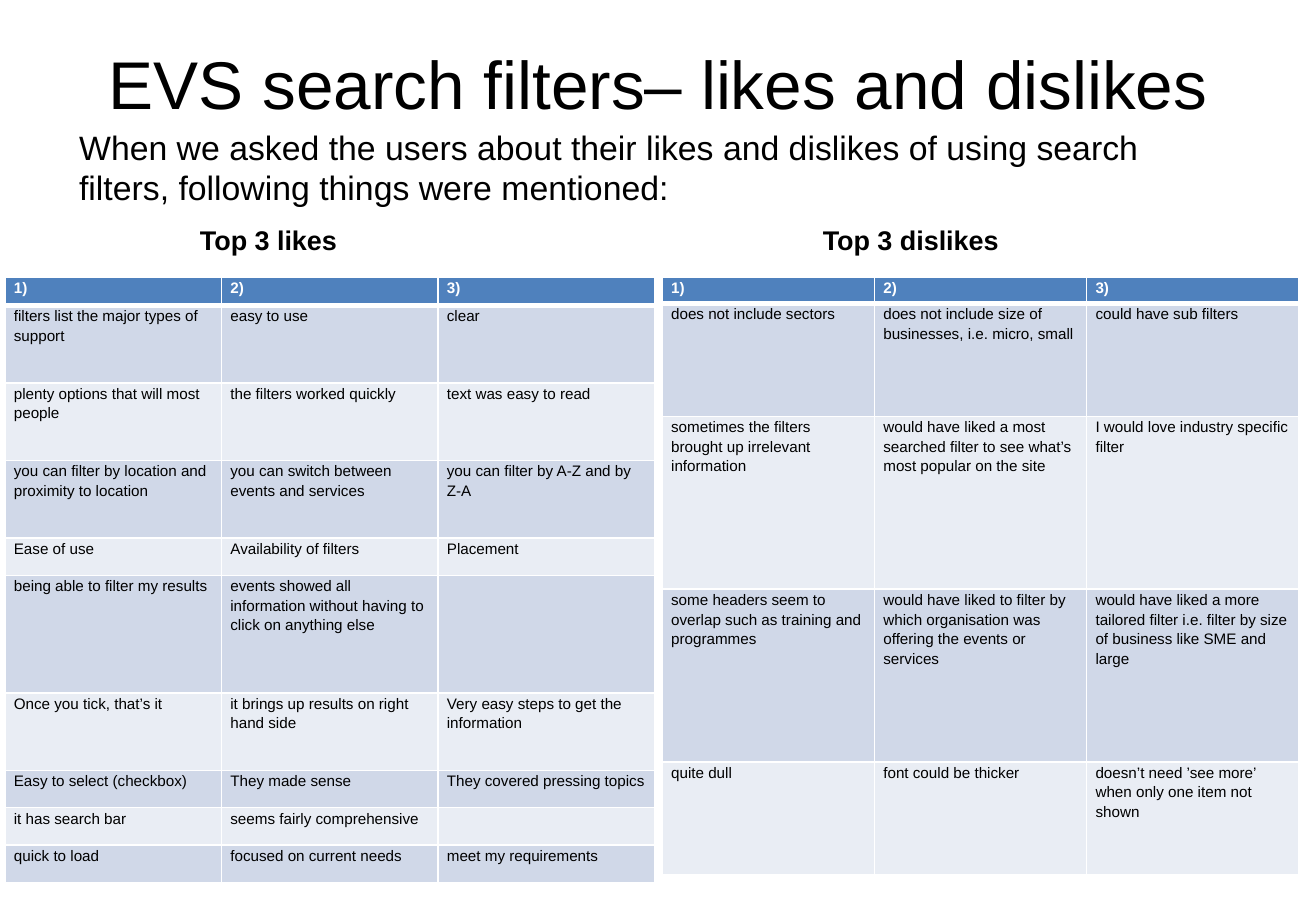
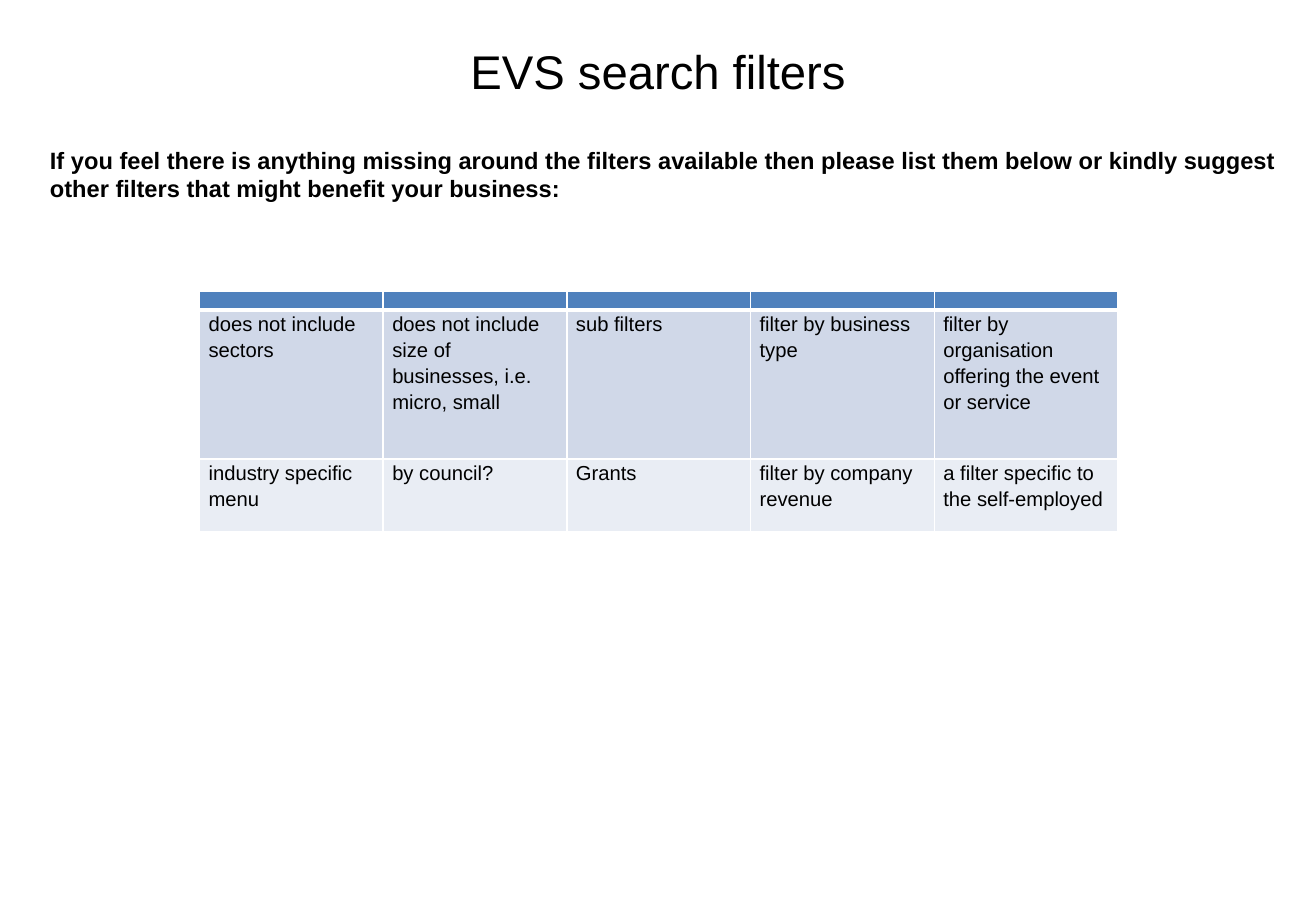
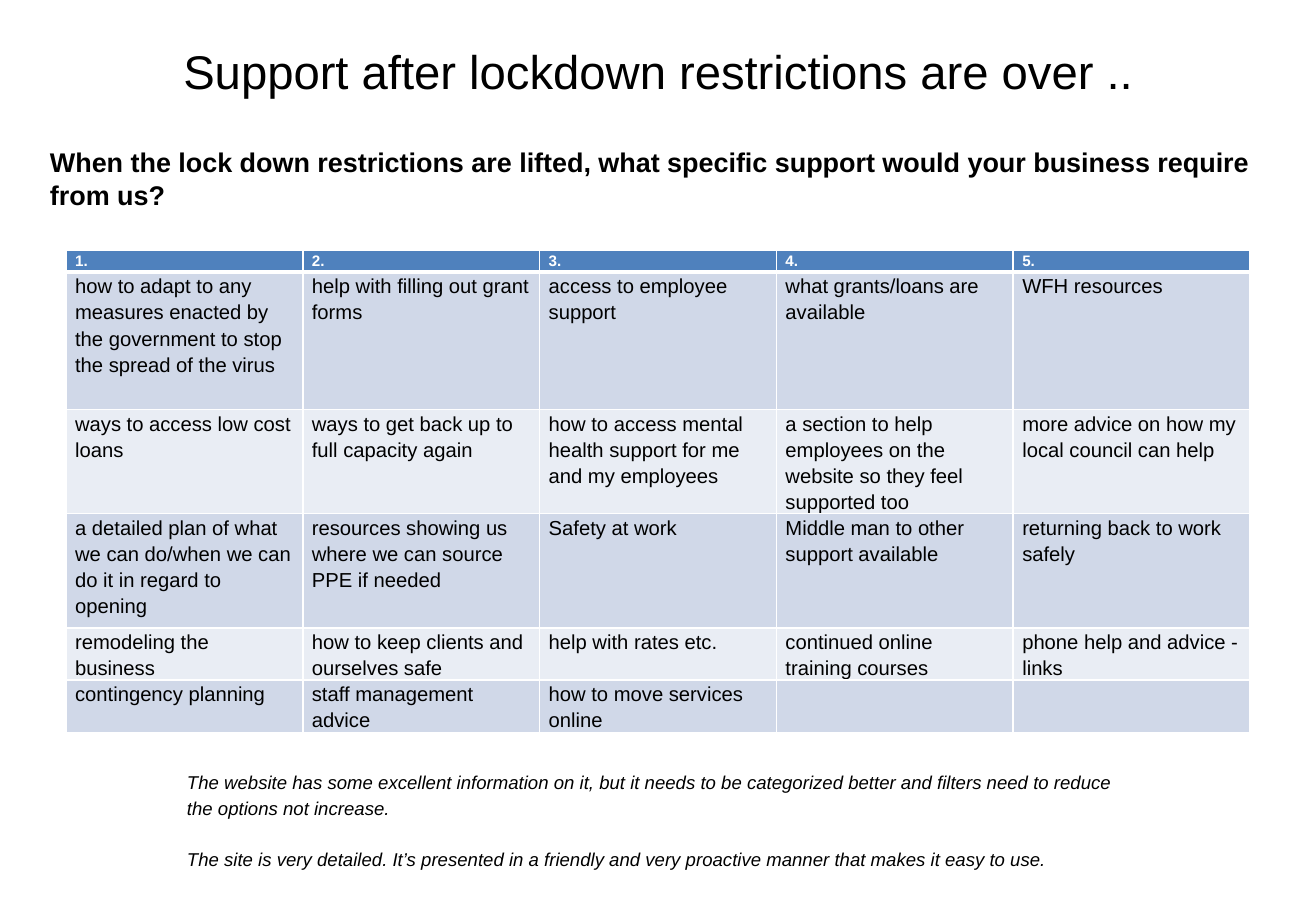
import pptx
import pptx.dml.color
import pptx.enum.text
from lxml import etree
from pptx.oxml.ns import qn
from pptx.util import Cm, Pt

# Shared style
FONT = "Arial"
COLORS = {
    "text": "000000",
    "light": "FFFFFF",
    "header": "4F81BD",
    "band_dark": "D0D8E8",
    "band_light": "E9EDF4",
}
LINE_SPACING = 1.15
TITLE_BOX = (1.37, 0.76, 24.77, 3.18)
QUESTION_BOX = (0.76, 2.92, 26.39, 15.37)

# Table contents, header row first
LIKES = [
    ["1)", "2)", "3)"],
    ["filters list the major types of support", "easy to use", "clear"],
    ["plenty options that will most people", "the filters worked quickly", "text was easy to read"],
    ["you can filter by location and proximity to location",
     "you can switch between events and services", "you can filter by A-Z and by Z-A"],
    ["Ease of use", "Availability of filters", "Placement"],
    ["being able to filter my results",
     "events showed all information without having to click on anything else", ""],
    ["Once you tick, that’s it", "it brings up results on right hand side",
     "Very easy steps to get the information"],
    ["Easy to select (checkbox)", "They made sense", "They covered pressing topics"],
    ["it has search bar", "seems fairly comprehensive", ""],
    ["quick to load", "focused on current needs", "meet my requirements"],
]
DISLIKES = [
    ["1)", "2)", "3)"],
    ["does not include sectors", "does not include size of businesses, i.e. micro, small",
     "could have sub filters"],
    ["sometimes the filters brought up irrelevant information",
     "would have liked a most searched filter to see what’s most popular on the site",
     "I would love industry specific filter"],
    ["some headers seem to overlap such as training and programmes",
     "would have liked to filter by which organisation was offering the events or services",
     "would have liked a more tailored filter i.e. filter by size of business like SME and large"],
    ["quite dull", "font could be thicker", "doesn’t need ’see more’ when only one item not shown"],
]
MISSING_FILTERS = [
    [""] * 5,
    ["does not include sectors", "does not include size of businesses, i.e. micro, small",
     "sub filters", "filter by business type", "filter by organisation offering the event or service"],
    ["industry specific menu", "by council?", "Grants", "filter by company revenue",
     "a filter specific to the self-employed"],
]
SUPPORT = [
    ["1.", "2.", "3.", "4.", "5."],
    ["how to adapt to any measures enacted by the government to stop the spread of the virus",
     "help with filling out grant forms", "access to employee support",
     "what grants/loans are available", "WFH resources"],
    ["ways to access low cost loans", "ways to get back up to full capacity again",
     "how to access mental health support for me and my employees",
     "a section to help employees on the website so they feel supported too",
     "more advice on how my local council can help"],
    ["a detailed plan of what we can do/when we can do it in regard to opening",
     "resources showing us where we can source PPE if needed", "Safety at work",
     "Middle man to other support available", "returning back to work safely"],
    ["remodeling the business", "how to keep clients and ourselves safe", "help with rates etc.",
     "continued online training courses", "phone help and advice - links"],
    ["contingency planning", "staff management advice", "how to move services online", "", ""],
]
QUOTES = [
    "The website has some excellent information on it, but it needs to be categorized better "
    "and filters need to reduce the options not increase.",
    "The site is very detailed. It’s presented in a friendly and very proactive manner "
    "that makes it easy to use.",
]


def rgb(name):
    return pptx.dml.color.RGBColor.from_string(COLORS[name])


def format_runs(paragraph, size, color="text", bold=False, italic=False):
    for run in paragraph.runs:
        run.font.name = FONT
        run.font.size = Pt(size)
        run.font.bold = bold
        run.font.italic = italic
        run.font.color.rgb = rgb(color)


def place_at_top(shape, box, top_margin):
    shape.left, shape.top, shape.width, shape.height = (Cm(length) for length in box)
    text_frame = shape.text_frame
    text_frame.auto_size = pptx.enum.text.MSO_AUTO_SIZE.NONE
    text_frame.vertical_anchor = pptx.enum.text.MSO_ANCHOR.TOP
    text_frame.margin_top = Cm(top_margin)


def add_titled_slide(presentation, title, size):
    slide = presentation.slides.add_slide(presentation.slide_layouts[1])
    shape = slide.shapes.title
    shape.text_frame.text = title
    place_at_top(shape, TITLE_BOX, 0.12)
    paragraph = shape.text_frame.paragraphs[0]
    paragraph.alignment = pptx.enum.text.PP_ALIGN.CENTER
    format_runs(paragraph, size)
    return slide


def fill_body(slide, box, text, size, bold):
    """Fill the body with one unbulleted paragraph."""
    body = slide.placeholders[1]
    body.text_frame.text = text
    place_at_top(body, box, 0.13)
    paragraph = body.text_frame.paragraphs[0]
    paragraph.space_before = Pt(0)
    format_runs(paragraph, size, bold=bold)
    properties = paragraph._p.get_or_add_pPr()
    properties.set("marL", str(Cm(0.03)))
    properties.set("indent", "0")
    etree.SubElement(properties, qn("a:buNone"))


def add_text(slide, box, lines, size, bold=False, italic=False, line_spacing=1.0, gap=0):
    text_box = slide.shapes.add_textbox(*(Cm(length) for length in box))
    text_frame = text_box.text_frame
    text_frame.word_wrap = True
    text_frame.text = "\n".join(lines)
    for index, paragraph in enumerate(text_frame.paragraphs):
        paragraph.line_spacing = line_spacing
        paragraph.space_before = Pt(gap if index else 0)
        format_runs(paragraph, size, bold=bold, italic=italic)


def set_borders(cell, top_width, bottom_width):
    properties = cell._tc.get_or_add_tcPr()
    for side, width in (("L", 1), ("R", 1), ("T", top_width), ("B", bottom_width)):
        line = etree.SubElement(properties, qn(f"a:ln{side}"), w=str(Pt(width)))
        fill = etree.SubElement(line, qn("a:solidFill"))
        etree.SubElement(fill, qn("a:srgbClr"), val=COLORS["light"])


def format_cell(cell, text, size, row_index):
    is_header = row_index == 0
    cell.margin_left = cell.margin_right = Cm(0.19)
    cell.margin_top = cell.margin_bottom = 0
    set_borders(cell, 3 if row_index == 1 else 1, 3 if is_header else 1)
    cell.fill.solid()
    band = "band_dark" if row_index % 2 else "band_light"
    cell.fill.fore_color.rgb = rgb("header" if is_header else band)
    cell.text_frame.text = text
    paragraph = cell.text_frame.paragraphs[0]
    paragraph.line_spacing = LINE_SPACING
    format_runs(paragraph, size, "light" if is_header else "text", bold=is_header)
    if not text:
        etree.SubElement(paragraph._p, qn("a:endParaRPr"), sz=str(size * 100))


def add_banded_table(slide, left, top, width, row_heights, rows, size, header_size=9):
    """Add a table with equal columns, a blue header and alternating bands."""
    column_count = len(rows[0])
    table = slide.shapes.add_table(len(rows), column_count, Cm(left), Cm(top),
                                   Cm(width), Cm(sum(row_heights))).table
    for column in table.columns:
        column.width = Cm(width / column_count)
    for row_index, (height, texts) in enumerate(zip(row_heights, rows)):
        table.rows[row_index].height = Cm(height)
        for column_index, text in enumerate(texts):
            format_cell(table.cell(row_index, column_index), text,
                        size if row_index else header_size, row_index)


def main():
    presentation = pptx.Presentation()
    presentation.slide_width = Cm(27.51)
    presentation.slide_height = Cm(19.05)

    # Likes and dislikes
    slide = add_titled_slide(presentation, "EVS search filters– likes and dislikes", 40)
    fill_body(slide, (1.37, 2.51, 24.65, 15.77),
              "When we asked the users about their likes and dislikes of using search filters, "
              "following things were mentioned:", 20, False)
    for heading, left in (("Top 3 likes", 3.93), ("Top 3 dislikes", 16.95)):
        add_text(slide, (left, 4.55, 5, 0.94), [heading], 16, bold=True)
    add_banded_table(slide, 0.1, 5.79, 13.58,
                     [0.6] + [1.62] * 3 + [0.78, 2.46, 1.62] + [0.78] * 3, LIKES, 9)
    add_banded_table(slide, 13.84, 5.79, 13.31, [0.56, 2.36, 3.61, 3.61, 2.36], DISLIKES, 9)

    # Missing filters
    slide = add_titled_slide(presentation, "EVS search filters", 28)
    fill_body(slide, QUESTION_BOX,
              "If you feel there is anything missing around the filters available then please list "
              "them below or kindly suggest other filters that might benefit your business:",
              14, True)
    add_banded_table(slide, 4.17, 6.1, 19.2, [0.38, 3.12, 1.52], MISSING_FILTERS, 12,
                     header_size=8)

    # Support after lockdown
    slide = add_titled_slide(presentation, "Support after lockdown restrictions are over ..", 28)
    fill_body(slide, QUESTION_BOX,
              "When the lock down restrictions are lifted, what specific support would your "
              "business require from us?", 16, True)
    add_banded_table(slide, 1.38, 5.23, 24.75, [0.46, 2.87, 1.91, 2.39, 0.94, 0.94], SUPPORT, 12)
    add_text(slide, (3.66, 15.93, 20.19, 2.36), QUOTES, 11, italic=True,
             line_spacing=LINE_SPACING, gap=15)

    presentation.save("out.pptx")


main()
